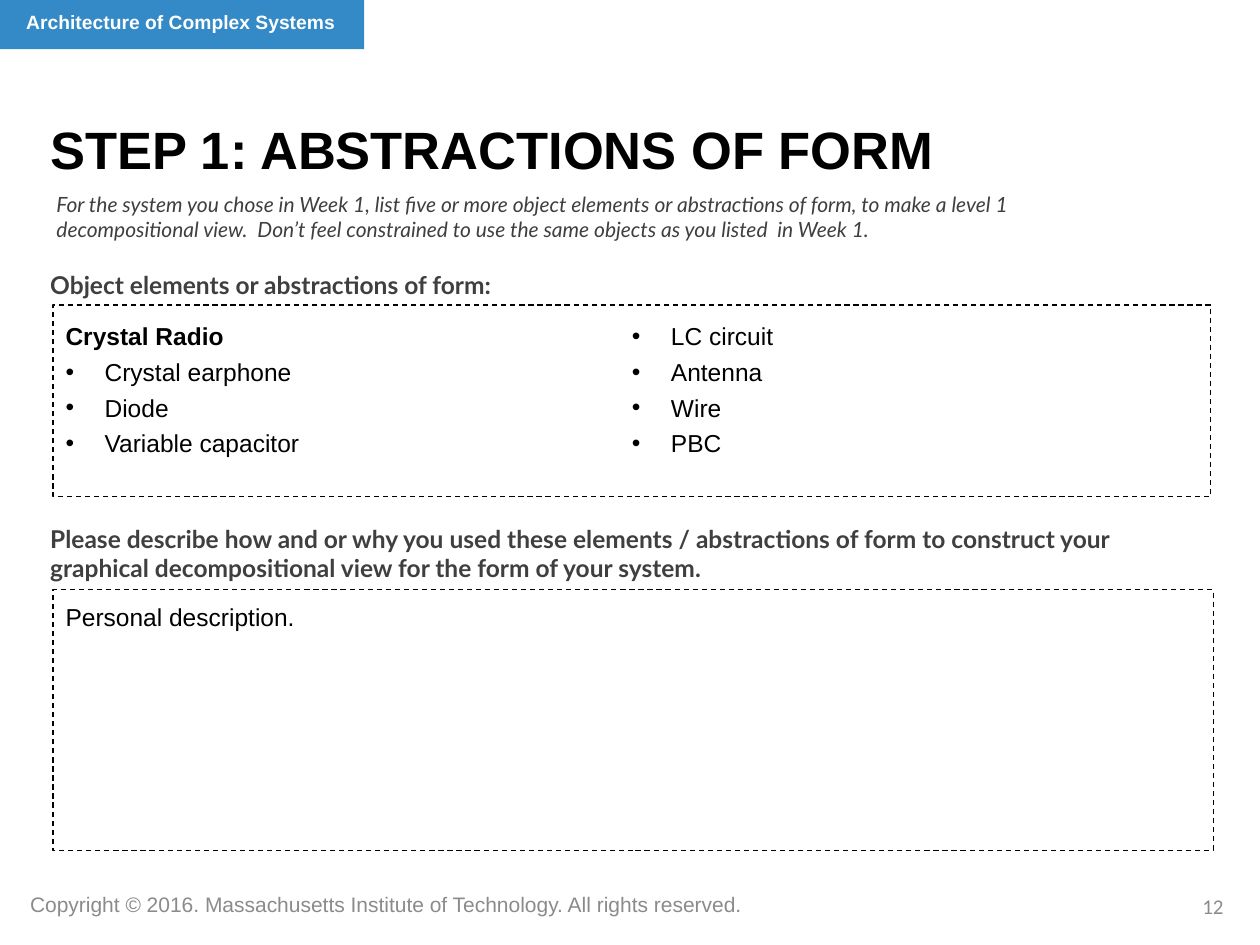
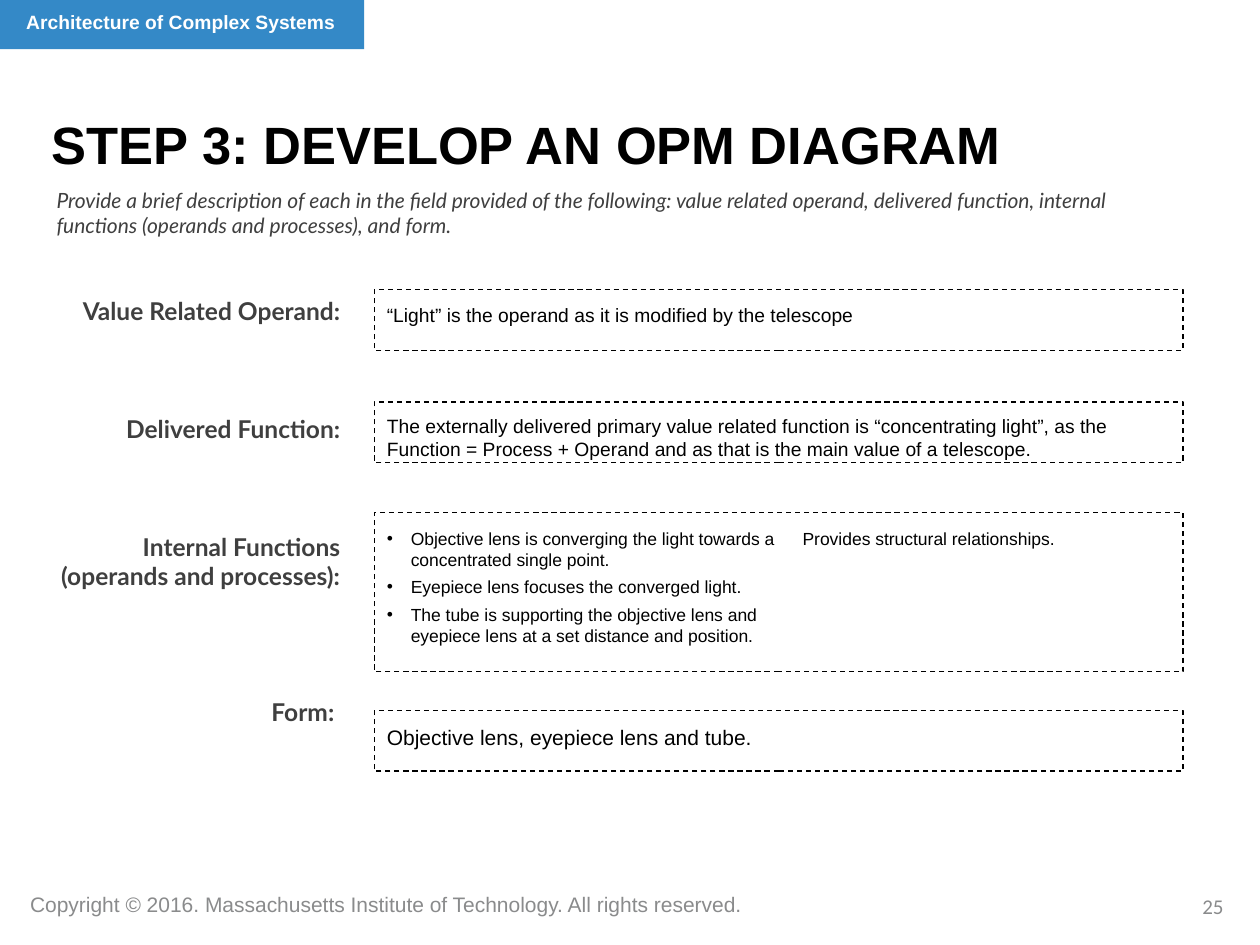
from lxml.etree import SubElement
from pptx import Presentation
from pptx.dml.color import RGBColor
from pptx.enum.dml import MSO_LINE
from pptx.enum.shapes import MSO_SHAPE
from pptx.enum.text import MSO_ANCHOR, MSO_AUTO_SIZE, PP_ALIGN
from pptx.oxml.ns import qn
from pptx.util import Inches, Pt

BLUE, BLACK, WHITE = "3489C7", "000000", "FFFFFF"
DARK_GRAY, FOOTER_GRAY = "3F3F3F", "8A8B8C"


def paint(fill, color):
    fill.solid()
    fill.fore_color.rgb = RGBColor.from_string(color)


def write_text(shape, box, lines, size, color=BLACK, font="Arial", bold=False, italic=False,
               align=PP_ALIGN.LEFT, inset=0.05, space=0, hanging=0.0):
    """Place a shape and fill it; lines starting with a bullet get the hanging indent."""
    shape.left, shape.top, shape.width, shape.height = map(Inches, box)
    frame = shape.text_frame
    frame.word_wrap = True
    frame.auto_size = MSO_AUTO_SIZE.NONE
    frame.vertical_anchor = MSO_ANCHOR.TOP
    frame.margin_left = frame.margin_right = Inches(0.1)
    frame.margin_top = frame.margin_bottom = Inches(inset)
    for number, line in enumerate(lines):
        paragraph = frame.add_paragraph() if number else frame.paragraphs[0]
        bulleted = line.startswith("•")
        paragraph.text = line.removeprefix("•")
        paragraph.alignment = align
        paragraph.space_before = Pt(space if number else 0)
        properties = paragraph._p.get_or_add_pPr()
        indent = Inches(hanging) if bulleted else 0
        properties.set("marL", str(indent))
        properties.set("indent", str(-indent))
        if bulleted:
            SubElement(properties, qn("a:buFont")).set("typeface", "Arial")
            SubElement(properties, qn("a:buChar")).set("char", "•")
        else:
            SubElement(properties, qn("a:buNone"))
        paragraph.font.name, paragraph.font.size = font, Pt(size)
        paragraph.font.bold, paragraph.font.italic = bold, italic
        paint(paragraph.font.fill, color)


presentation = Presentation()
presentation.slide_width, presentation.slide_height = Inches(10), Inches(7.5)
two_content, comparison = presentation.slide_layouts[3], presentation.slide_layouts[4]

# Each answer: frame box, text box, lines, text size, columns, hanging indent
form_answers = [
    ((0.42, 2.42, 9.19, 1.52), (0.42, 2.45, 9.19, 1.49),
     ["Crystal Radio", "•Crystal earphone", "•Diode", "•Variable capacitor",
      "•LC circuit", "•Antenna", "•Wire", "•PBC"], 14, 2, 0.31),
    ((0.42, 4.68, 9.21, 2.07), (0.42, 4.68, 9.19, 2.07),
     ["Personal description."], 14, 1, 0),
]
diagram_answers = [
    ((2.97, top, 6.42, height), (2.97, top + drop, 6.42, height - drop),
     lines, size, columns, 0.19)
    for top, height, drop, lines, size, columns in [
        (2.3, 0.48, 0.01, ["“Light” is the operand as it is modified by the telescope"], 11, 1),
        (3.19, 0.48, 0, ["The externally delivered primary value related function is "
                         "“concentrating light”, as the Function = Process + Operand and "
                         "as that is the main value of a telescope."], 11, 1),
        (4.07, 1.26, 0.02, [
            "•Objective lens is converging the light towards a concentrated single point.",
            "•Eyepiece lens focuses the converged light.",
            "•The tube is supporting the objective lens and eyepiece lens at a set distance "
            "and position. Provides structural relationships."], 10, 2),
        (5.64, 0.48, 0.01, ["Objective lens, eyepiece lens and tube."], 12, 1),
    ]
]

# Each label: box, lines
form_labels = [
    ((0.3, 2.09, 9.41, 0.26), ["Object elements or abstractions of form:"]),
    ((0.3, 4.11, 9.41, 0.57), [
        "Please describe how and or why you used these elements / abstractions of form to "
        "construct your graphical decompositional view for the form of your system."]),
]
diagram_labels = [
    ((0.35, top, 2.45, 0.1 + 0.24 * len(lines)), lines)
    for top, lines in [
        (2.3, ["Value Related Operand:"]),
        (3.24, ["Delivered Function:"]),
        (4.17, ["Internal Functions", "(operands and processes):"]),
        (5.48, ["Form: "]),
    ]
]

slides = [
    (two_content, "12", "STEP 1: ABSTRACTIONS OF FORM", (0.3, 0.88, 9.8, 0.58),
     "For the system you chose in Week 1, list five or more object elements or abstractions "
     "of form, to make a level 1 decompositional view.  Don’t feel constrained to use the "
     "same objects as you listed  in Week 1.", (0.35, 1.47, 8.84, 0.79),
     form_labels, PP_ALIGN.LEFT, form_answers),
    (comparison, "25", "STEP 3: DEVELOP AN OPM DIAGRAM", (0.31, 0.84, 8.51, 0.58),
     "Provide a brief description of each in the field provided of the following: value "
     "related operand, delivered function, internal functions (operands and processes), "
     "and form.", (0.35, 1.44, 9.21, 0.67),
     diagram_labels, PP_ALIGN.RIGHT, diagram_answers),
]

for (layout, page, title, title_box, instruction, instruction_box,
     labels, label_align, answers) in slides:
    slide = presentation.slides.add_slide(layout)
    shapes = slide.shapes
    bodies = list(slide.placeholders)[1:]
    write_text(shapes.title, title_box, [title], 30, bold=True)
    write_text(shapes.add_textbox(0, 0, 0, 0), instruction_box, [instruction], 12,
               DARK_GRAY, "Lato", italic=True)
    for box, lines in labels:
        write_text(shapes.add_textbox(0, 0, 0, 0), box, lines, 14, DARK_GRAY, "Lato",
                   bold=True, align=label_align)
    for body, (frame_box, text_box, lines, size, columns, hanging) in zip(bodies, answers):
        frame = shapes.add_shape(MSO_SHAPE.RECTANGLE, *map(Inches, frame_box))
        frame.shadow.inherit = False
        frame.fill.background()
        paint(frame.line.fill, BLACK)
        frame.line.width = Pt(0.75)
        frame.line.dash_style = MSO_LINE.DASH
        write_text(body, text_box, lines, size, inset=0.1, space=3.6, hanging=hanging)
        body.text_frame._txBody.bodyPr.set("numCol", str(columns))
        if lines[0] == "Crystal Radio":
            body.text_frame.paragraphs[0].font.bold = True
    write_text(shapes.add_textbox(0, 0, 0, 0), (7.48, 7.04, 2.33, 0.4), [page], 12,
               FOOTER_GRAY, "Calibri", align=PP_ALIGN.RIGHT)

# The course band and the copyright line are drawn once, then moved to the slide master
shapes = presentation.slides[0].shapes
band = shapes.add_shape(MSO_SHAPE.RECTANGLE, Inches(-0.01), 0, Inches(2.9), Inches(0.39))
band.shadow.inherit = False
paint(band.fill, BLUE)
band.line.fill.background()
course = shapes.add_textbox(0, 0, 0, 0)
write_text(course, (0.11, 0.03, 2.79, 0.58), ["Architecture of Complex Systems"], 11,
           WHITE, bold=True)
copyright_line = shapes.add_textbox(0, 0, 0, 0)
write_text(copyright_line, (0.14, 7.03, 5.96, 0.3),
           ["Copyright © 2016. Massachusetts Institute of Technology. All rights reserved."],
           12, FOOTER_GRAY)
for shape in (band, course, copyright_line):
    presentation.slide_master.shapes.element.append(shape.element)

presentation.save("out.pptx")
